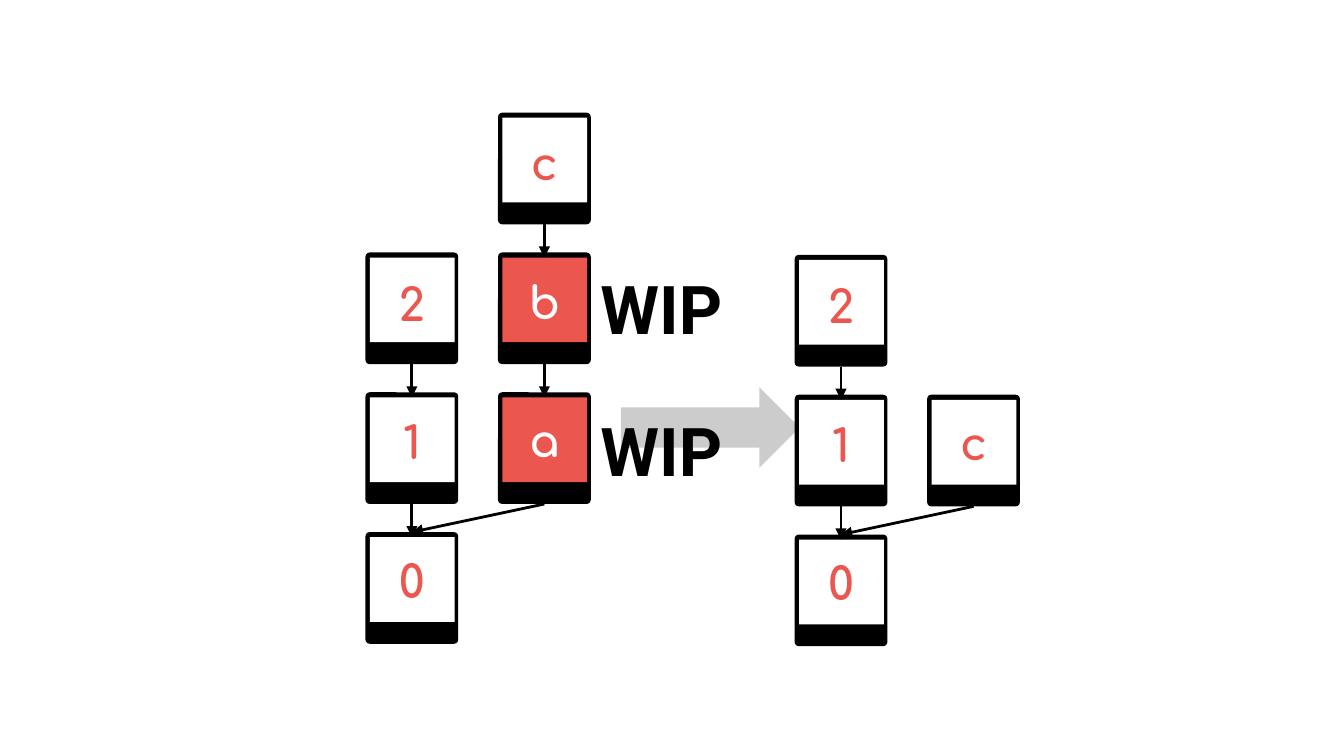
from dataclasses import dataclass

from lxml.etree import SubElement
from pptx import Presentation
from pptx.dml.color import RGBColor
from pptx.enum.shapes import MSO_CONNECTOR, MSO_SHAPE
from pptx.enum.text import MSO_ANCHOR, PP_ALIGN
from pptx.oxml.ns import qn
from pptx.util import Pt


@dataclass(frozen=True)
class Theme:
    """Colours, fonts and type sizes."""
    ink: str = "000000"
    paper: str = "FFFFFF"
    red: str = "EB574F"
    grey: str = "CCCCCC"
    face: str = "Comfortaa"
    bold: str = "Roboto"
    size: float = 24
    large: float = 36
    line: float = 1.5


@dataclass(frozen=True)
class Grid:
    """Card sizes and steps, in points."""
    wide: float = 49.7
    high: float = 59.8
    over: float = 71
    down: float = 74.9
    side: float = 2.4
    top: float = 2.7
    pane: float = 45.4


THEME = Theme()
GRID = Grid()


def add_shape(shapes, kind, box, fill):
    """Add a plain filled shape without an outline."""
    shape = shapes.add_shape(kind, *map(Pt, box))
    shape.shadow.inherit = False
    shape.fill.solid()
    shape.fill.fore_color.rgb = RGBColor.from_string(fill)
    shape.line.fill.background()
    return shape


def add_text(shapes, text, box, *, font=THEME.face, size=THEME.size,
             color=THEME.red, align=PP_ALIGN.CENTER):
    """Add a bold, vertically centred text box."""
    frame = shapes.add_textbox(*map(Pt, box)).text_frame
    frame.word_wrap = True
    frame.vertical_anchor = MSO_ANCHOR.MIDDLE
    frame.margin_left = frame.margin_right = Pt(7.2)
    frame.margin_top = frame.margin_bottom = Pt(7.2)
    par = frame.paragraphs[0]
    par.alignment = align
    run = par.add_run()
    run.text = text
    run.font.name = font
    run.font.size = Pt(size)
    run.font.bold = True
    run.font.color.rgb = RGBColor.from_string(color)


def add_arrow(shapes, start, end):
    """Add a straight line with an arrowhead at its end."""
    line = shapes.add_connector(MSO_CONNECTOR.STRAIGHT, *map(Pt, (*start, *end)))
    line.line.color.rgb = RGBColor.from_string(THEME.ink)
    line.line.width = Pt(THEME.line)
    SubElement(line.line._get_or_add_ln(), qn("a:tailEnd"), type="triangle")
    SubElement(line._element.spPr, qn("a:effectLst"))


def add_card(shapes, left, top, fill):
    """Add a black card with a square pane."""
    group = shapes.add_group_shape().shapes
    body = add_shape(group, MSO_SHAPE.ROUNDED_RECTANGLE,
                     (left, top, GRID.wide, GRID.high), THEME.ink)
    body.adjustments[0] = 0.045
    add_shape(group, MSO_SHAPE.RECTANGLE,
              (left + GRID.side, top + GRID.top, GRID.pane, GRID.pane), fill)


def add_stack(shapes, left, top, cols, wip=""):
    """Add columns of cards, given as (first row, names), and their links."""
    for col, (first, names) in enumerate(cols):
        edge = left + col * GRID.over
        mid = edge + GRID.wide / 2
        rows = list(enumerate(names, first))
        for row, name in rows:
            fill = THEME.red if name in wip else THEME.paper
            add_card(shapes, edge, top + row * GRID.down, fill)
        for row, name in rows:
            y = top + row * GRID.down
            if row < rows[-1][0]:
                add_arrow(shapes, (mid, y + GRID.high),
                          (mid, y + GRID.down + GRID.top))
            add_text(shapes, name,
                     (edge + 3.6, y + 12 - 0.7 * row - col, 42.5, 31.7),
                     color=THEME.paper if name in wip else THEME.red)
    last = top + rows[-1][0] * GRID.down
    add_arrow(shapes, (mid, last + GRID.high),
              (left + GRID.wide / 2, last + GRID.down))


def add_tags(shapes, left, top, count):
    """Add a column of WIP tags."""
    for row in range(count):
        add_text(shapes, "WIP", (left, top + 76.3 * row, 95.8, 31.7),
                 font=THEME.bold, size=THEME.large, color=THEME.ink,
                 align=PP_ALIGN.LEFT)


def main():
    """Build and save the slide."""
    deck = Presentation()
    deck.slide_width, deck.slide_height = Pt(720), Pt(405)
    shapes = deck.slides.add_slide(deck.slide_layouts[6]).shapes
    add_shape(shapes, MSO_SHAPE.RIGHT_ARROW, (332.6, 207.4, 95.8, 43.2), THEME.grey)
    add_stack(shapes, 195.8, 60.4, [(1, "210"), (0, "cba")], wip="ab")
    add_tags(shapes, 314.6, 149, 2)
    add_stack(shapes, 425.7, 61.7, [(1, "210"), (2, "c")])
    deck.save("out.pptx")


if __name__ == "__main__":
    main()
